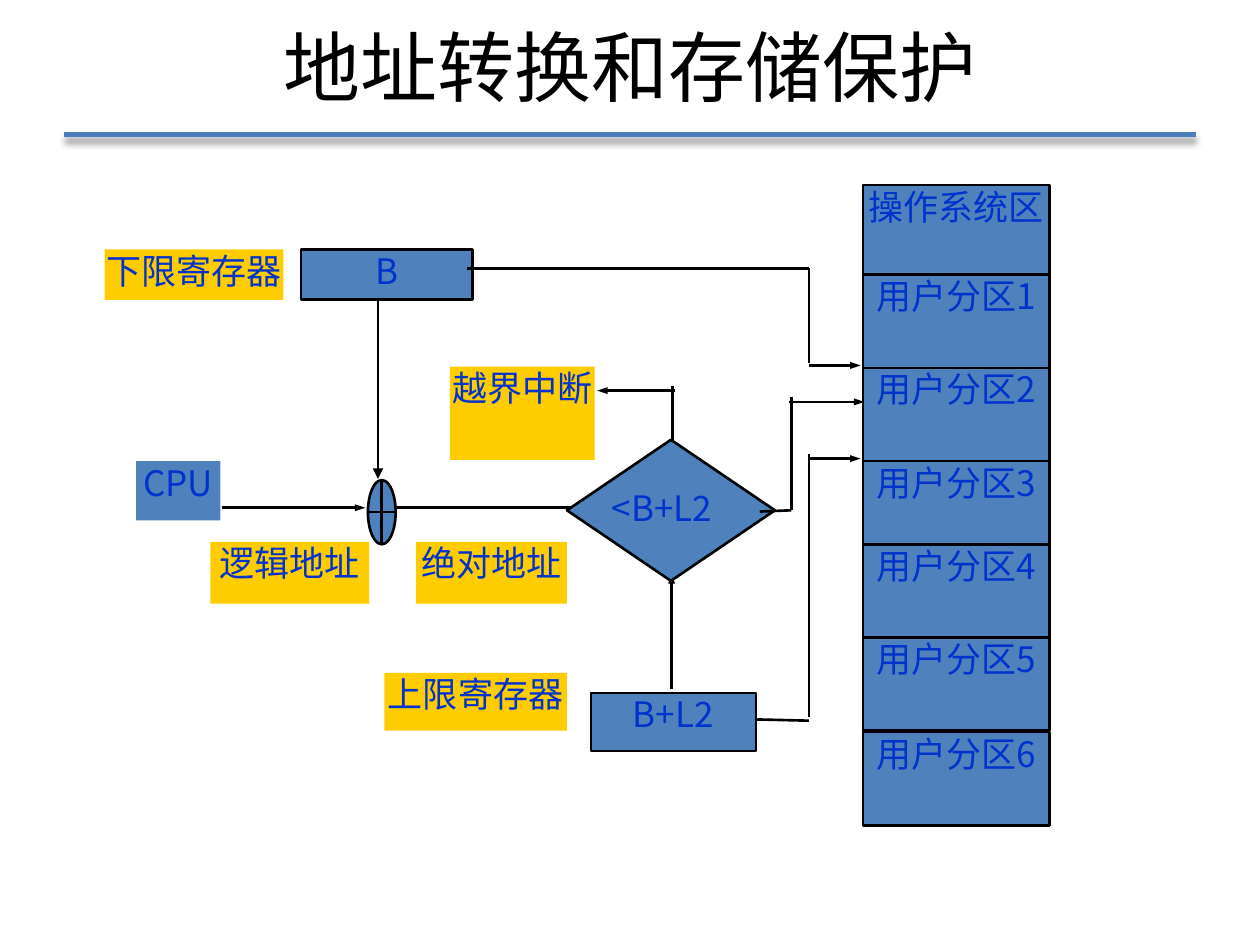
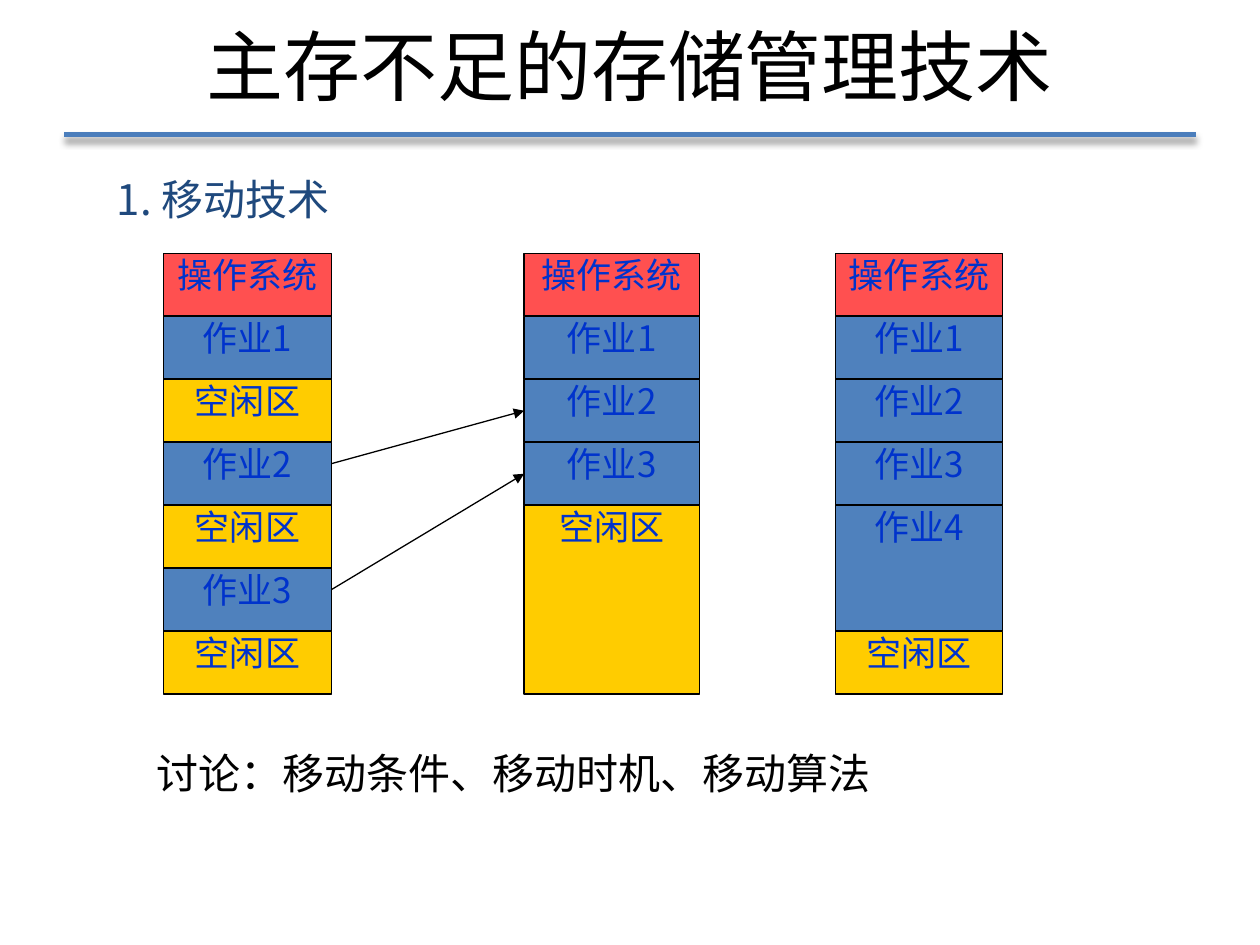
from lxml.etree import SubElement
from pptx import Presentation
from pptx.dml.color import RGBColor
from pptx.enum.shapes import MSO_CONNECTOR, MSO_SHAPE
from pptx.enum.text import MSO_ANCHOR, MSO_AUTO_SIZE, PP_ALIGN
from pptx.oxml.ns import qn
from pptx.util import Inches, Pt

BLUE = RGBColor(0x4F, 0x81, 0xBD)
GOLD = RGBColor(0xFF, 0xCC, 0x00)
RED = RGBColor(0xFF, 0x50, 0x50)
INK = RGBColor(0x00, 0x33, 0xCC)
NAVY = RGBColor(0x1F, 0x49, 0x7D)
BLACK = RGBColor(0x00, 0x00, 0x00)
RULE = RGBColor(0x4B, 0x7E, 0xBC)
FACE = "Noto Sans CJK JP"

TIGHT = {"margin_left": 0, "margin_right": 0, "margin_top": 0, "margin_bottom": 0}
BASE = {"word_wrap": True, "auto_size": MSO_AUTO_SIZE.NONE, "vertical_anchor": MSO_ANCHOR.TOP}
LABEL = {"frame": BASE | TIGHT, "size": 20, "ink": INK, "align": PP_ALIGN.CENTER}
TITLE = {"frame": BASE | {"vertical_anchor": MSO_ANCHOR.MIDDLE},
         "size": 44, "ink": BLACK, "align": PP_ALIGN.CENTER}
HEAD = {"frame": BASE, "size": 24, "ink": NAVY, "align": PP_ALIGN.LEFT}
NOTE = HEAD | {"ink": BLACK}


def put(shape, spot, words="", fill=None, edge=0, look=LABEL):
    for name, value in zip(("left", "top", "width", "height"), spot):
        setattr(shape, name, Inches(value))
    if fill is not None:
        shape.shadow.inherit = False
        shape.fill.solid()
        shape.fill.fore_color.rgb = fill
        if edge:
            shape.line.color.rgb = BLACK
            shape.line.width = Pt(edge)
        else:
            shape.line.fill.background()
    if words:
        frame = shape.text_frame
        for name, value in look["frame"].items():
            setattr(frame, name, value)
        para = frame.paragraphs[0]
        para.alignment = look["align"]
        run = para.add_run()
        run.text = words
        for name, value in {"size": Pt(look["size"]), "name": FACE}.items():
            setattr(run.font, name, value)
        run.font.color.rgb = look["ink"]
        SubElement(run._r.get_or_add_rPr(), qn("a:ea"), typeface=FACE)


def link(page, ends, width=1.5, arrow=False, color=BLACK):
    line = page.shapes.add_connector(MSO_CONNECTOR.STRAIGHT, *[Inches(n) for n in ends])
    line.line.color.rgb = color
    line.line.width = Pt(width)
    if arrow:
        SubElement(line.line._get_or_add_ln(), qn("a:tailEnd"), type="triangle",
                   w="sm" if width > 1 else "med", len="med")
    return SubElement(line._element.spPr, qn("a:effectLst"))


deck = Presentation()
deck.slide_width, deck.slide_height = Inches(10), Inches(7.5)
pages = []
for words, spot in (("地址转换和存储保护", (0.5, -0.01, 9, 1.06)),
                    ("主存不足的存储管理技术", (0.51, 0, 8.98, 1.02))):
    page = deck.slides.add_slide(deck.slide_layouts[5])
    glow = link(page, (0.51, 1.07, 9.49, 1.07), 3, color=RULE)
    cast = SubElement(glow, qn("a:outerShdw"), blurRad=str(Pt(4)), dist=str(Pt(3)),
                      dir="5400000", rotWithShape="0")
    tint = SubElement(cast, qn("a:srgbClr"), val="000000")
    SubElement(tint, qn("a:alpha"), val="40000")
    put(page.shapes.title, spot, words, look=TITLE)
    pages.append(page)
guard, move = pages

boxes = [
    ("B", (2.39, 1.98, 1.36, 0.4), BLUE, 1.5),
    ("下限寄存器", (0.83, 1.98, 1.42, 0.4), GOLD, 0),
    ("逻辑地址", (1.67, 4.3, 1.26, 0.49), GOLD, 0),
    ("CPU", (1.08, 3.66, 0.67, 0.47), BLUE, 0),
    ("绝对地址", (3.3, 4.3, 1.2, 0.49), GOLD, 0),
    ("B+L2", (4.69, 5.5, 1.31, 0.46), BLUE, 1.5),
    ("上限寄存器", (3.05, 5.34, 1.45, 0.46), GOLD, 0),
    ("越界中断", (3.57, 2.91, 1.15, 0.74), GOLD, 0),
]
names = ["操作系统区"] + [f"用户分区{n}" for n in range(1, 7)]
tops = (1.47, 2.18, 2.92, 3.66, 4.32, 5.06, 5.81)
boxes += [(name, (6.85, top, 1.48, 0.74), BLUE, 1.5) for name, top in zip(names, tops)]
for words, spot, fill, edge in boxes:
    put(guard.shapes.add_shape(MSO_SHAPE.RECTANGLE, 0, 0, 0, 0), spot, words, fill, edge)

put(guard.shapes.add_shape(MSO_SHAPE.FLOWCHART_OR, 0, 0, 0, 0),
    (2.92, 3.81, 0.22, 0.51), fill=BLUE, edge=1.5)
for ends in ((1.76, 4.03, 2.9, 4.03), (3.13, 4.03, 4.71, 4.03), (5.33, 5.47, 5.33, 4.55)):
    link(guard, ends, arrow=True)
put(guard.shapes.add_shape(MSO_SHAPE.FLOWCHART_DECISION, 0, 0, 0, 0),
    (4.5, 3.49, 1.65, 1.12), fill=BLUE, edge=1.5)
put(guard.shapes.add_textbox(0, 0, 0, 0), (4.76, 3.86, 0.99, 0.46), "<B+L2")

for ends in ((3.71, 2.13, 6.42, 2.13), (6.42, 2.13, 6.42, 2.88),
             (6.01, 5.71, 6.42, 5.72), (6.42, 3.6, 6.42, 5.69),
             (5.34, 3.06, 5.34, 3.5),
             (6.28, 3.15, 6.28, 4.05), (6.03, 4.06, 6.28, 4.05)):
    link(guard, ends)
for ends in ((6.26, 3.19, 6.86, 3.19), (6.42, 2.9, 6.83, 2.9),
             (6.42, 3.64, 6.83, 3.64), (5.36, 3.1, 4.74, 3.1)):
    link(guard, ends, arrow=True)
link(guard, (3, 2.38, 3, 3.8), 0.75, True)

stacks = [
    (1.3, 1.33, ("操作系统", "作业1", "空闲区", "作业2", "空闲区", "作业3", "空闲区"), {}),
    (4.16, 1.39, ("操作系统", "作业1", "作业2", "作业3", "空闲区"), {"空闲区": 3}),
    (6.63, 1.33, ("操作系统", "作业1", "作业2", "作业3", "作业4", "空闲区"), {"作业4": 2}),
]
fills = {"操作系统": RED, "空闲区": GOLD}
for left, width, names, spans in stacks:
    top = 2.01
    for name in names:
        high = 0.5 * spans.get(name, 1)
        put(move.shapes.add_shape(MSO_SHAPE.RECTANGLE, 0, 0, 0, 0),
            (left, top, width, high), name, fills.get(name, BLUE), 0.75)
        top += high

for start, end in ((3.68, 3.26), (4.68, 3.76)):
    link(move, (2.63, start, 4.16, end), 0.75, True)
for words, spot, look in (("1. 移动技术", (0.83, 1.33, 2.12, 0.91), HEAD),
                          ("讨论：移动条件、移动时机、移动算法", (1.14, 5.88, 6.22, 0.5), NOTE)):
    put(move.shapes.add_textbox(0, 0, 0, 0), spot, words, look=look)

deck.save("out.pptx")
